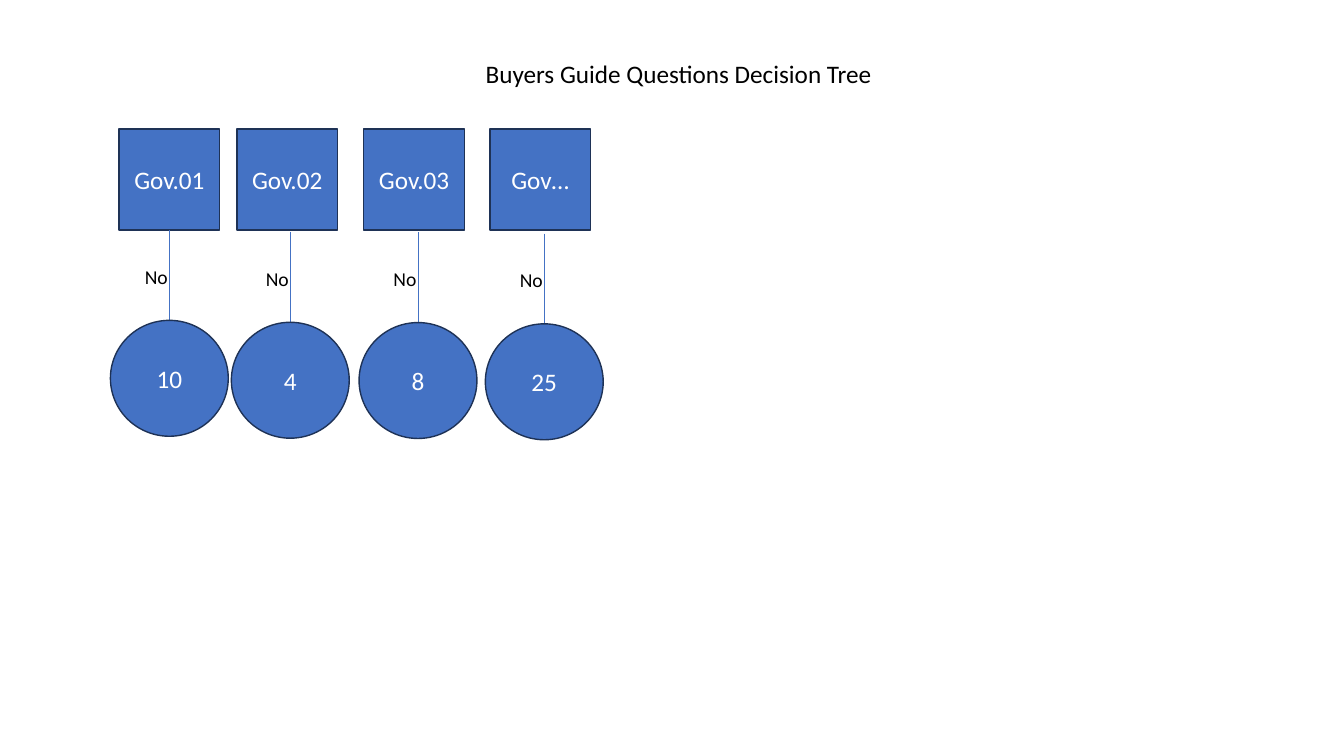
from dataclasses import dataclass

from lxml import etree
from pptx import Presentation
from pptx.dml.color import RGBColor
from pptx.enum import shapes, text
from pptx.oxml import ns
from pptx.shapes.autoshape import Shape
from pptx.util import Pt

COLORS = {"fill": "4472C4", "outline": "1E3256", "light": "FFFFFF", "dark": "000000"}
FONT = "Calibri"
SQUARE_TOP, SQUARE_SIZE = 92.2, 72
BRANCH_LENGTH = 64
CIRCLE_WIDTH, CIRCLE_HEIGHT = 84.2, 82.8


@dataclass
class Question:
    name: str
    square_left: float
    answer: str
    branch_x: float
    branch_top: float


QUESTIONS = [
    Question("Gov.01", 85, "10", 121, 164.3),
    Question("Gov.02", 169.2, "4", 207.4, 165.7),
    Question("Gov.03", 259.8, "8", 298.6, 165.9),
    Question("Gov…", 349.9, "25", 388.8, 166.8),
]


def color(name: str) -> RGBColor:
    return RGBColor.from_string(COLORS[name])


def write(box: Shape, words: str, size: float, ink: str, align: text.PP_ALIGN) -> None:
    para = box.text_frame.paragraphs[0]
    para.text = words
    para.alignment = align
    para.font.name = FONT
    para.font.size = Pt(size)
    para.font.color.rgb = color(ink)


def add_node(parent, kind: shapes.MSO_SHAPE, words: str, left: float, top: float,
             width: float, height: float) -> None:
    """Add a filled square or circle with centred text to a slide or group."""
    node = parent.shapes.add_shape(kind, Pt(left), Pt(top), Pt(width), Pt(height))
    node.shadow.inherit = False
    node.fill.solid()
    node.fill.fore_color.rgb = color("fill")
    node.line.color.rgb = color("outline")
    node.line.width = Pt(1)
    node.text_frame.vertical_anchor = text.MSO_ANCHOR.MIDDLE
    write(node, words, 18, "light", text.PP_ALIGN.CENTER)


def add_label(parent, words: str, left: float, top: float, width: float, height: float,
              size: float, align: text.PP_ALIGN) -> None:
    box = parent.shapes.add_textbox(Pt(left), Pt(top), Pt(width), Pt(height))
    box.text_frame.word_wrap = False
    box.text_frame.auto_size = text.MSO_AUTO_SIZE.SHAPE_TO_FIT_TEXT
    write(box, words, size, "dark", align)


def add_branch(page, question: Question) -> None:
    """Group the line, its "No" label and the circle below a question."""
    branch = page.shapes.add_group_shape()
    x, top = question.branch_x, question.branch_top
    line = branch.shapes.add_connector(
        shapes.MSO_CONNECTOR.STRAIGHT, Pt(x), Pt(top), Pt(x), Pt(top + BRANCH_LENGTH))
    line.line.color.rgb = color("fill")
    line.line.width = Pt(0.5)
    etree.SubElement(line._element.spPr, ns.qn("a:effectLst"))
    add_label(branch, "No", x - 24.8, top + 21.4, 31, 24.2, 14, text.PP_ALIGN.CENTER)
    add_node(branch, shapes.MSO_SHAPE.OVAL, question.answer, x - CIRCLE_WIDTH / 2,
             top + BRANCH_LENGTH + 0.5, CIRCLE_WIDTH, CIRCLE_HEIGHT)


def main() -> None:
    deck = Presentation()
    deck.slide_width, deck.slide_height = Pt(960), Pt(540)
    page = deck.slides.add_slide(deck.slide_layouts[6])
    for question in QUESTIONS:
        add_node(page, shapes.MSO_SHAPE.RECTANGLE, question.name, question.square_left,
                 SQUARE_TOP, SQUARE_SIZE, SQUARE_SIZE)
    add_label(page, "Buyers Guide Questions Decision Tree", 339.8, 38.2, 293.8, 29,
              18, text.PP_ALIGN.LEFT)
    for question in QUESTIONS:
        add_branch(page, question)
    deck.save("out.pptx")


if __name__ == "__main__":
    main()
